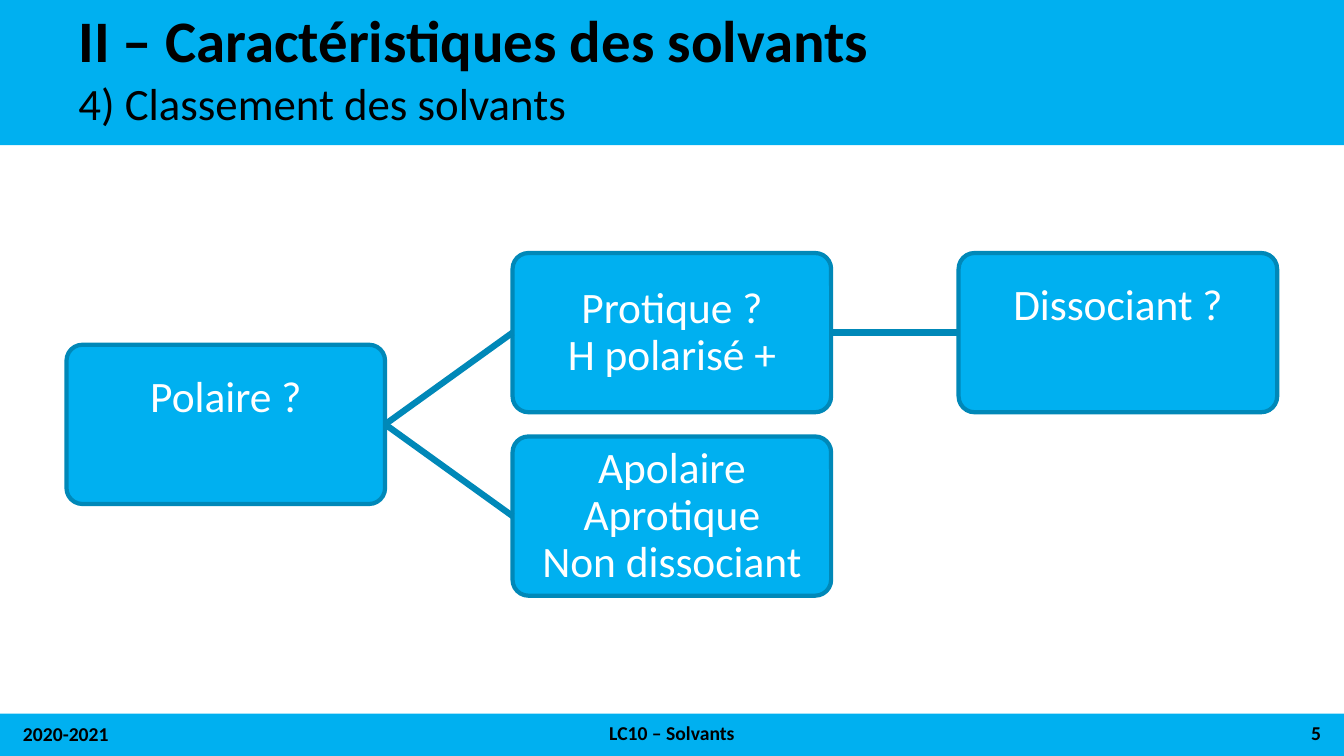
"""Build the slide that sorts solvents in a small tree."""
from lxml import etree
from pptx import Presentation
from pptx.dml.color import RGBColor
from pptx.enum.shapes import MSO_CONNECTOR, MSO_SHAPE
from pptx.enum.text import MSO_ANCHOR, PP_ALIGN
from pptx.oxml.ns import qn
from pptx.util import Inches, Pt

RECT = MSO_SHAPE.RECTANGLE
ROUND = MSO_SHAPE.ROUNDED_RECTANGLE
STRAIGHT = MSO_CONNECTOR.STRAIGHT
TOP, MIDDLE = MSO_ANCHOR.TOP, MSO_ANCHOR.MIDDLE
LEFT, CENTER, RIGHT = PP_ALIGN.LEFT, PP_ALIGN.CENTER, PP_ALIGN.RIGHT
COLORS = {"sky": "00B0F0", "edge": "0088B8", "ink": "000000", "white": "FFFFFF"}
WIDE, HIGH = 13.33, 7.5
NODE_W, NODE_H = 3.16, 1.58
COL_GAP, ROW_GAP = NODE_W * 1.4, 0.91


class Deck:
    """Hold the style and the current slide."""

    def __init__(self, slide, font="Calibri"):
        self.shapes = slide.shapes
        self.font = font

    def color(self, name):
        return RGBColor.from_string(COLORS[name])

    def fill_text(self, frame, text, size, color, align, bold=False, space=1.0):
        frame.word_wrap = True
        par = frame.paragraphs[0]
        par.text = text
        par.alignment = align
        par.line_spacing = space
        par.font.name = self.font
        par.font.size = Pt(size)
        par.font.bold = bold
        par.font.color.rgb = self.color(color)

    def block(self, kind, box):
        shape = self.shapes.add_shape(kind, *map(Inches, box))
        shape.shadow.inherit = False
        shape.fill.solid()
        shape.fill.fore_color.rgb = self.color("sky")
        return shape

    def band(self, top, height):
        self.block(RECT, (0, top, WIDE, height)).line.fill.background()

    def label(self, box, text, size, align=LEFT, anchor=MIDDLE, **style):
        frame = self.shapes.add_textbox(*map(Inches, box)).text_frame
        frame.vertical_anchor = anchor
        self.fill_text(frame, text, size, "ink", align, **style)

    def node(self, col, row, text):
        box = (0.66 + col * COL_GAP, 2.51 + row * ROW_GAP, NODE_W, NODE_H)
        shape = self.block(ROUND, box)
        shape.adjustments[0] = 0.1
        shape.line.color.rgb = self.color("edge")
        shape.line.width = Pt(3)
        frame = shape.text_frame
        frame.vertical_anchor = MIDDLE
        frame.margin_left = frame.margin_right = Inches(0.02)
        frame.margin_top = frame.margin_bottom = Inches(0.02)
        self.fill_text(frame, text, 31, "white", CENTER, space=0.9)
        return shape

    def link(self, start, end):
        line = self.shapes.add_connector(STRAIGHT, 0, 0, 0, 0)
        line.begin_connect(start, 3)
        line.end_connect(end, 1)
        line.line.color.rgb = self.color("edge")
        line.line.width = Pt(4.5)
        etree.SubElement(line._element.spPr, qn("a:effectLst"))


def main():
    prs = Presentation()
    prs.slide_width, prs.slide_height = Inches(WIDE), Inches(HIGH)
    deck = Deck(prs.slides.add_slide(prs.slide_layouts[6]))

    deck.band(-0.01, 1.45)
    deck.band(7.08, 0.42)
    deck.label((0.68, 0.11, 11.74, 0.65), "II – Caractéristiques des solvants",
               42, bold=True, space=0.9)
    deck.label((0.68, 0.8, 11.74, 0.55), "4) Classement des solvants",
               32, anchor=TOP, space=0.8)
    deck.label((0.13, 7.08, 3, 0.4), "2020-2021", 14, bold=True)
    deck.label((3.13, 7.07, 7.07, 0.4), "LC10 – Solvants", 14, CENTER, bold=True)
    deck.label((10.2, 7.07, 3, 0.4), "5", 14, RIGHT, bold=True)

    polar = deck.node(0, 1, "Polaire ?\v")
    protic = deck.node(1, 0, "Protique ?\vH polarisé +")
    ionic = deck.node(2, 0, "Dissociant ?\v")
    inert = deck.node(1, 2, "Apolaire\vAprotique\vNon dissociant")
    for start, end in ((polar, protic), (protic, ionic), (polar, inert)):
        deck.link(start, end)

    prs.save("out.pptx")


if __name__ == "__main__":
    main()
